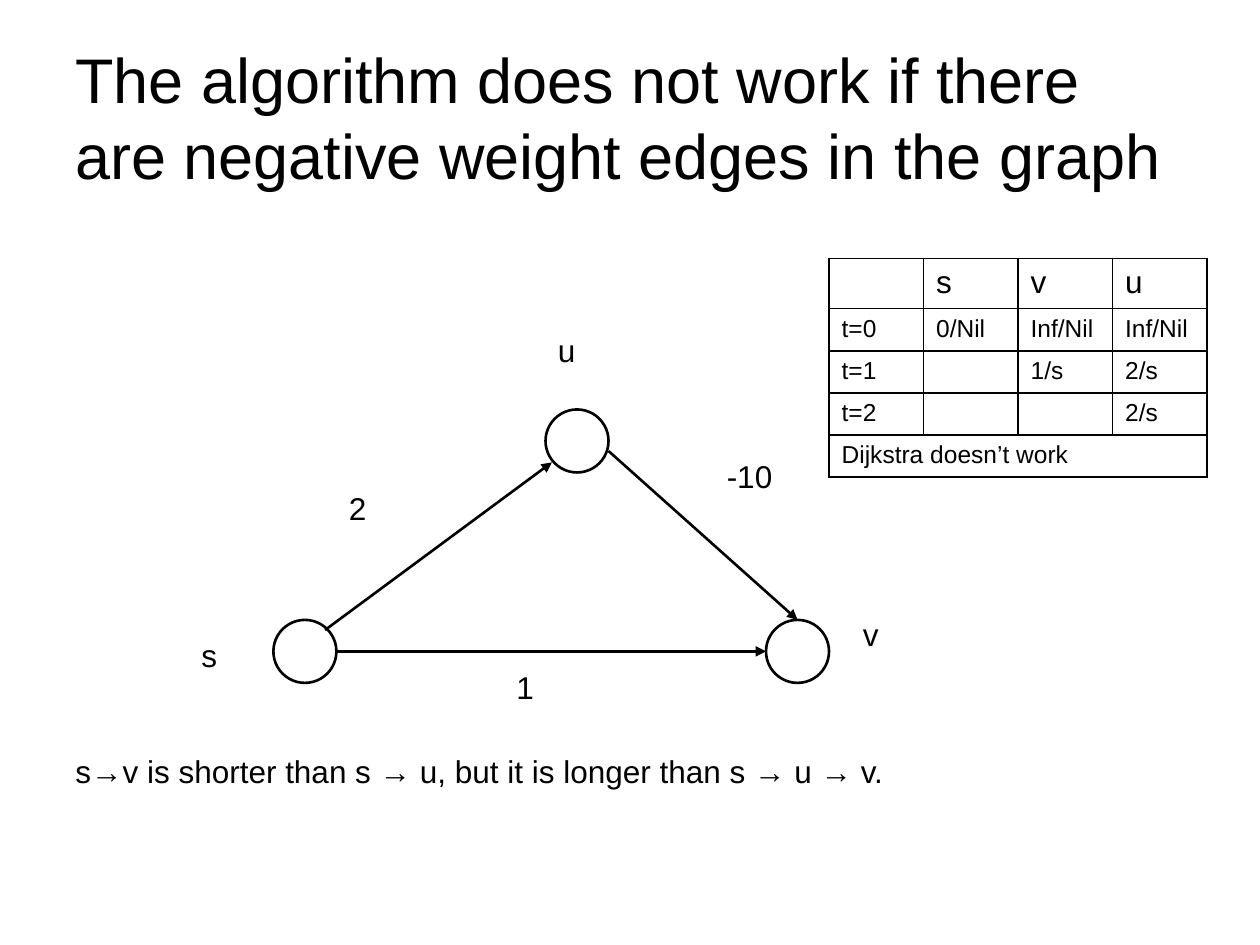
from lxml.etree import SubElement
from pptx import Presentation
from pptx.dml.color import RGBColor
from pptx.enum.shapes import MSO_CONNECTOR, MSO_SHAPE
from pptx.enum.text import MSO_ANCHOR
from pptx.oxml.ns import qn
from pptx.util import Inches, Pt

BLACK, WHITE = "000000", "FFFFFF"
NODE_SIZE = 0.5
NODES = {"s": (2.17, 4.92), "u": (4.33, 3.25), "v": (6.08, 4.92)}
EDGES = [
    ((2.58, 5), (4.38, 3.67)),
    ((2.67, 5.17), (6.08, 5.17)),
    ((4.83, 3.58), (6.33, 4.92)),
]
LABELS = [
    ("1", 4, 5.25, 0.83),
    ("2", 2.67, 3.83, 0.5),
    ("-10", 5.67, 3.58, 1.67),
    ("s", 1.5, 5, 0.58),
    ("v", 6.75, 4.83, 0.5),
    ("u", 4.33, 2.58, 0.58),
]
STEPS = [
    ["", "s", "v", "u"],
    ["t=0", "0/Nil", "Inf/Nil", "Inf/Nil"],
    ["t=1", "", "1/s", "2/s"],
    ["t=2", "", "", "2/s"],
    ["Dijkstra doesn’t work", "", "", ""],
]


def color(value):
    return RGBColor.from_string(value)


def set_attributes(target, values):
    for name, value in values.items():
        setattr(target, name, value)


def write_text(text_frame, text, size):
    paragraph = text_frame.paragraphs[0]
    if not text:
        # Keep an empty cell as low as its row
        SubElement(paragraph._p, qn("a:endParaRPr"), sz=str(size * 100))
        return
    run = paragraph.add_run()
    run.text = text
    set_attributes(run.font, {"name": "Arial", "size": Pt(size)})
    run.font.color.rgb = color(BLACK)


def add_text(slide, text, left, top, width, height=0.5, size=18, anchor=MSO_ANCHOR.TOP):
    box = slide.shapes.add_textbox(*map(Inches, (left, top, width, height)))
    set_attributes(box.text_frame, {"word_wrap": True, "vertical_anchor": anchor})
    write_text(box.text_frame, text, size)


def set_outline(line):
    line.color.rgb = color(BLACK)
    line.width = Pt(1.5)


def add_node(slide, left, top):
    node = slide.shapes.add_shape(
        MSO_SHAPE.OVAL, *map(Inches, (left, top, NODE_SIZE, NODE_SIZE)))
    node.shadow.inherit = False
    node.fill.solid()
    node.fill.fore_color.rgb = color(WHITE)
    set_outline(node.line)


def add_edge(slide, start, end):
    edge = slide.shapes.add_connector(
        MSO_CONNECTOR.STRAIGHT, *map(Inches, (*start, *end)))
    set_outline(edge.line)
    SubElement(edge.line._get_or_add_ln(), qn("a:tailEnd"), type="triangle")
    SubElement(edge._element.spPr, qn("a:effectLst"))


def format_cell(cell):
    properties = cell._tc.get_or_add_tcPr()
    for side in ("lnL", "lnR", "lnT", "lnB"):
        border = SubElement(properties, qn(f"a:{side}"), w=str(Pt(1)))
        fill = SubElement(border, qn("a:solidFill"))
        SubElement(fill, qn("a:srgbClr"), val=BLACK)
    cell.fill.background()


def add_step_table(slide):
    frame = slide.shapes.add_table(
        len(STEPS), len(STEPS[0]), *map(Inches, (6.58, 2.05, 3, 1.73)))
    table = frame.table
    set_attributes(table, {"first_row": False, "horz_banding": False})
    for column in table.columns:
        column.width = Inches(0.75)
    for row_index, texts in enumerate(STEPS):
        is_header = row_index == 0
        table.rows[row_index].height = Inches(0.4 if is_header else 0.33)
        for column_index, text in enumerate(texts):
            cell = table.cell(row_index, column_index)
            write_text(cell.text_frame, text, 18 if is_header else 14)
            format_cell(cell)
    # The conclusion spans the last row
    last = len(STEPS) - 1
    table.cell(last, 0).merge(table.cell(last, 3))


def main():
    presentation = Presentation()
    set_attributes(presentation, {"slide_width": Inches(10), "slide_height": Inches(7.5)})
    slide = presentation.slides.add_slide(presentation.slide_layouts[6])

    # Title
    add_text(slide, "The algorithm does not work if there are negative weight edges in the graph",
             0.5, 0.3, 9, 1.25, size=36, anchor=MSO_ANCHOR.MIDDLE)

    # Weighted graph
    for position in NODES.values():
        add_node(slide, *position)
    for start, end in EDGES:
        add_edge(slide, start, end)
    for label in LABELS:
        add_text(slide, *label)

    # Explanation and trace of the algorithm
    add_text(slide, "s→v is shorter than s → u, but it is longer than s → u → v.",
             0.5, 5.92, 9.25, 0.4)
    add_step_table(slide)

    presentation.save("out.pptx")


main()
